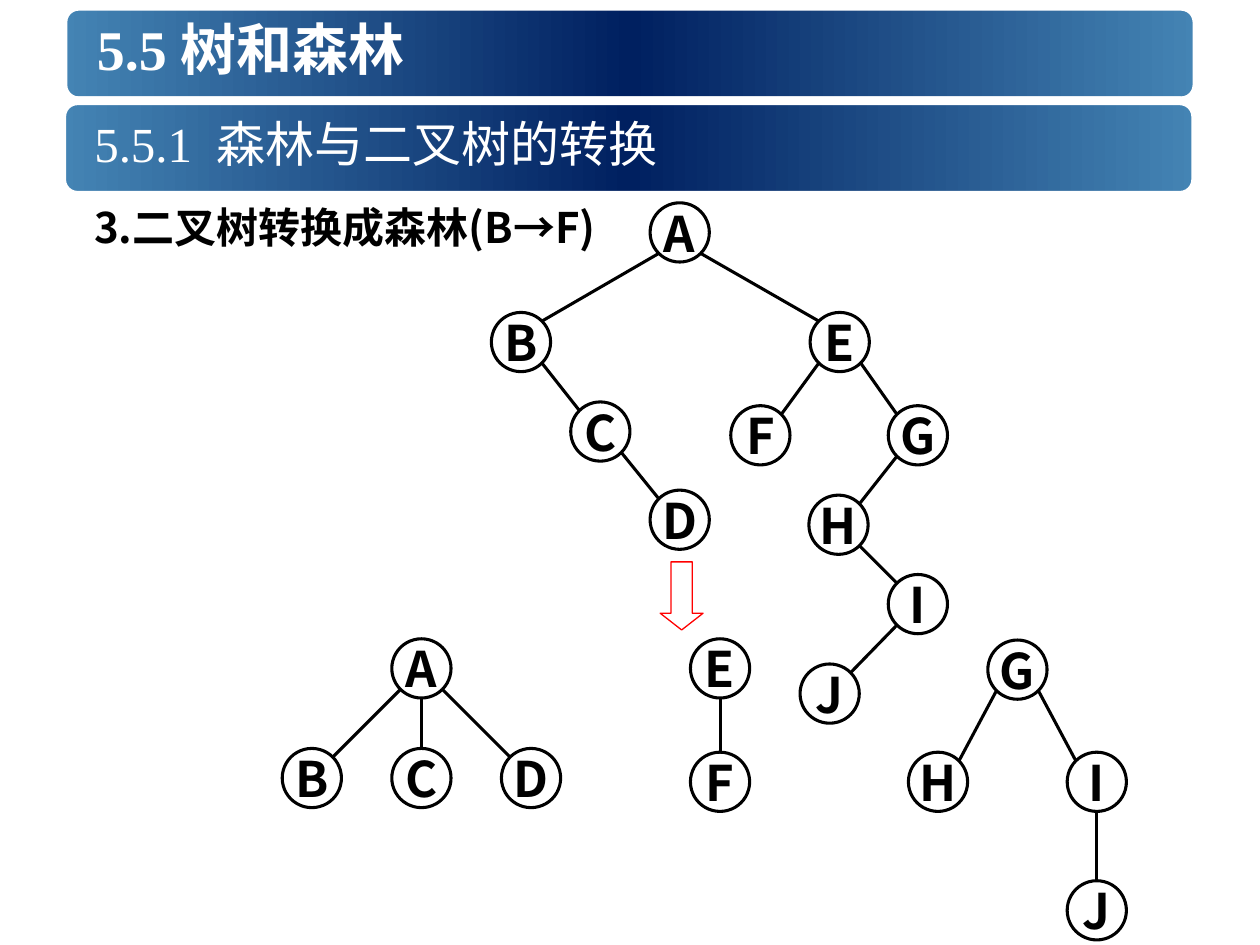
import copy
import math
from dataclasses import dataclass

import lxml.etree
import pptx
import pptx.dml.color
import pptx.enum.shapes
import pptx.enum.text
import pptx.oxml.ns
import pptx.util
from pptx.util import Inches

RGBColor = pptx.dml.color.RGBColor
Shape = pptx.enum.shapes.MSO_SHAPE
Anchor = pptx.enum.text.MSO_ANCHOR
Align = pptx.enum.text.PP_ALIGN
qn = pptx.oxml.ns.qn

BLACK = RGBColor(0x00, 0x00, 0x00)
WHITE = RGBColor(0xFF, 0xFF, 0xFF)
RED = RGBColor(0xFF, 0x00, 0x00)
STEEL = RGBColor(0x44, 0x84, 0xB4)
NAVY = RGBColor(0x00, 0x20, 0x60)
SERIF = "Times New Roman"
SANS = "Noto Sans CJK SC"
DIAMETER = 0.47
RADIUS = DIAMETER / 2
DIAGONAL = RADIUS * math.sqrt(0.5)


@dataclass(frozen=True)
class TextStyle:
    name: str
    size: float
    color: RGBColor
    bold: bool


@dataclass(frozen=True)
class Heading:
    text: str
    left: float
    top: float
    text_left: float
    style: TextStyle


@dataclass(frozen=True)
class Node:
    label: str
    left: float
    top: float


@dataclass(frozen=True)
class Tree:
    nodes: tuple[Node, ...]
    edges: tuple[str, ...]


NODE_STYLE = TextStyle(SANS, 28, BLACK, True)
TOPIC_STYLE = TextStyle(SANS, 24, BLACK, True)

HEADINGS = (
    Heading("5.5 树和森林", 0.5, 0.05, 0.67, TextStyle(SERIF, 32, WHITE, True)),
    Heading("5.5.1  森林与二叉树的转换", 0.49, 0.8, 0.65,
            TextStyle(SERIF, 28, WHITE, False)),
)

TREES = (
    Tree(
        (Node("A", 5.16, 1.61), Node("B", 3.9, 2.48), Node("C", 4.53, 3.19),
         Node("D", 5.16, 3.89), Node("E", 6.43, 2.48), Node("F", 5.8, 3.22),
         Node("G", 7.05, 3.22), Node("H", 6.42, 3.93), Node("I", 7.05, 4.56),
         Node("J", 6.35, 5.27)),
        ("AB", "AE", "BC", "CD", "EF", "EG", "GH", "HI", "IJ"),
    ),
    Tree(
        (Node("A", 3.11, 5.07), Node("B", 2.24, 5.94), Node("C", 3.11, 5.94),
         Node("D", 3.98, 5.94)),
        ("AB", "AC", "AD"),
    ),
    Tree((Node("E", 5.48, 5.07), Node("F", 5.48, 5.97)), ("EF",)),
    Tree(
        (Node("G", 7.84, 5.08), Node("H", 7.21, 5.97), Node("I", 8.47, 5.97),
         Node("J", 8.47, 6.99)),
        ("GH", "GI", "IJ"),
    ),
)


def write_text(paragraph, text: str, style: TextStyle) -> None:
    paragraph.add_run().text = text
    font = paragraph.font
    font.name = style.name
    font.size = pptx.util.Pt(style.size)
    font.bold = style.bold
    font.color.rgb = style.color
    defaults = paragraph._p.pPr.find(qn("a:defRPr"))
    lxml.etree.SubElement(defaults, qn("a:ea")).set("typeface", SANS)


def add_text(page, left: float, top: float, width: float, height: float,
             text: str, style: TextStyle):
    box = page.shapes.add_textbox(
        Inches(left), Inches(top), Inches(width), Inches(height))
    box.text_frame.word_wrap = True
    write_text(box.text_frame.paragraphs[0], text, style)
    return box


def add_heading(page, heading: Heading) -> None:
    banner = page.shapes.add_shape(
        Shape.ROUNDED_RECTANGLE, Inches(heading.left), Inches(heading.top),
        Inches(9), Inches(0.75))
    banner.shadow.inherit = False
    banner.line.color.rgb = WHITE
    banner.line.width = pptx.util.Pt(5)
    banner.fill.gradient()
    banner.fill.gradient_angle = 0
    stops = banner._element.spPr.find(qn("a:gradFill")).find(qn("a:gsLst"))
    stops.append(copy.deepcopy(stops[0]))
    for stop, position, color in zip(
            banner.fill.gradient_stops, (0, 0.5, 1), (STEEL, NAVY, STEEL)):
        stop.position = position
        stop.color.rgb = color
    box = add_text(page, heading.text_left, heading.top, 8.75, 0.67,
                   heading.text, heading.style)
    box.text_frame.vertical_anchor = Anchor.MIDDLE


def add_topic(page) -> None:
    box = add_text(page, 0.65, 1.47, 9.16, 0.58,
                   "3.二叉树转换成森林(B→F)", TOPIC_STYLE)
    paragraph = box.text_frame.paragraphs[0]
    paragraph.line_spacing = 1.2
    properties = paragraph._p.pPr
    properties.set("marL", str(Inches(0.63)))
    properties.set("indent", str(-Inches(0.63)))


def add_outline(page, kind, left: float, top: float, width: float,
                height: float, color: RGBColor, weight: float):
    shape = page.shapes.add_shape(
        kind, Inches(left), Inches(top), Inches(width), Inches(height))
    shape.shadow.inherit = False
    shape.fill.background()
    shape.line.color.rgb = color
    shape.line.width = pptx.util.Pt(weight)
    return shape


def add_node(page, node: Node) -> None:
    circle = add_outline(page, Shape.OVAL, node.left, node.top,
                         DIAMETER, DIAMETER, BLACK, 1.75)
    frame = circle.text_frame
    frame.word_wrap = False
    frame.vertical_anchor = Anchor.MIDDLE
    paragraph = frame.paragraphs[0]
    paragraph.alignment = Align.CENTER
    write_text(paragraph, node.label, NODE_STYLE)


def add_edge(page, parent: Node, child: Node) -> None:
    side = (child.left > parent.left) - (child.left < parent.left)
    across = side * DIAGONAL
    down = DIAGONAL if side else RADIUS
    edge = page.shapes.add_connector(
        pptx.enum.shapes.MSO_CONNECTOR.STRAIGHT,
        Inches(parent.left + RADIUS + across), Inches(parent.top + RADIUS + down),
        Inches(child.left + RADIUS - across), Inches(child.top + RADIUS - down))
    edge.line.color.rgb = BLACK
    edge.line.width = pptx.util.Pt(1.75)
    lxml.etree.SubElement(edge._element.spPr, qn("a:effectLst"))


def add_tree(page, tree: Tree) -> None:
    by_label = {node.label: node for node in tree.nodes}
    for node in tree.nodes:
        add_node(page, node)
    for parent, child in tree.edges:
        add_edge(page, by_label[parent], by_label[child])


def main() -> None:
    deck = pptx.Presentation()
    deck.slide_width = Inches(10)
    deck.slide_height = Inches(7.5)
    page = deck.slides.add_slide(deck.slide_layouts[6])
    for heading in HEADINGS:
        add_heading(page, heading)
    add_topic(page)
    for tree in TREES:
        add_tree(page, tree)
    arrow = add_outline(page, Shape.DOWN_ARROW, 5.24, 4.46, 0.34, 0.54, RED, 0.75)
    arrow.adjustments[1] = 0.39
    deck.save("out.pptx")


if __name__ == "__main__":
    main()
